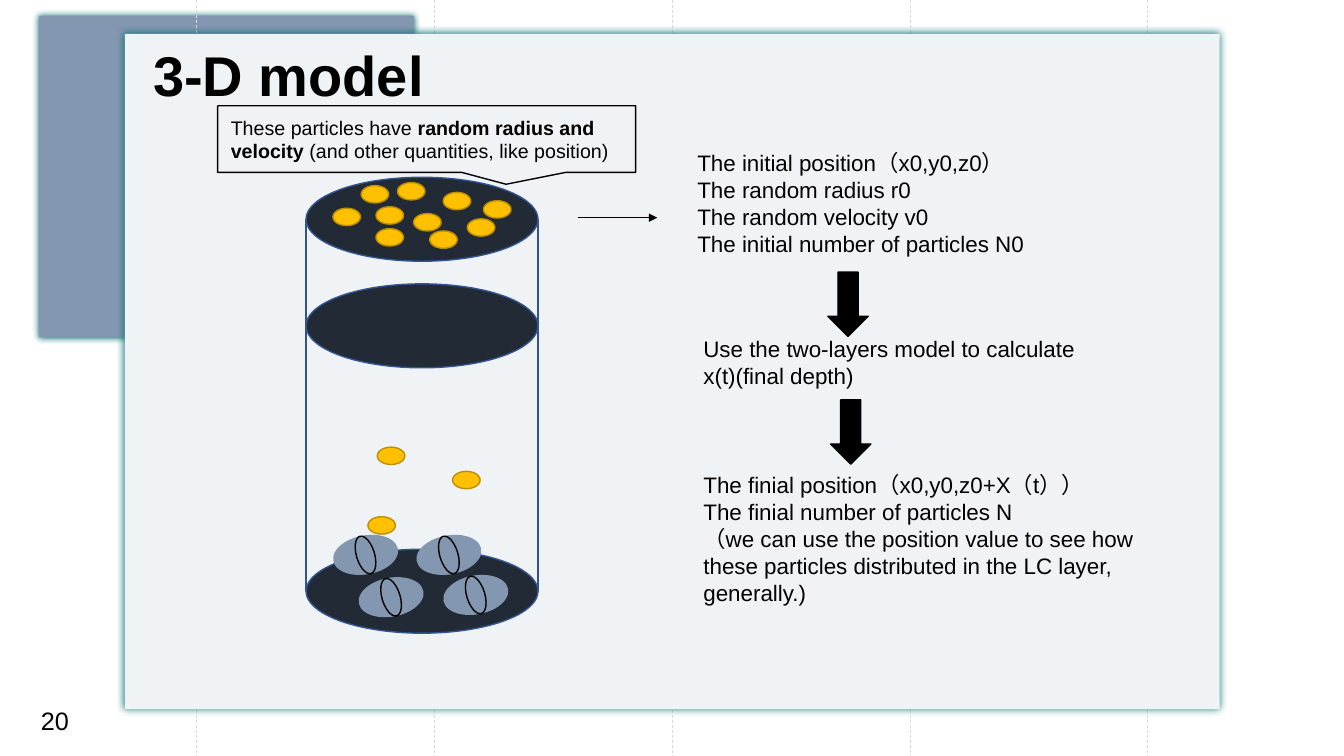
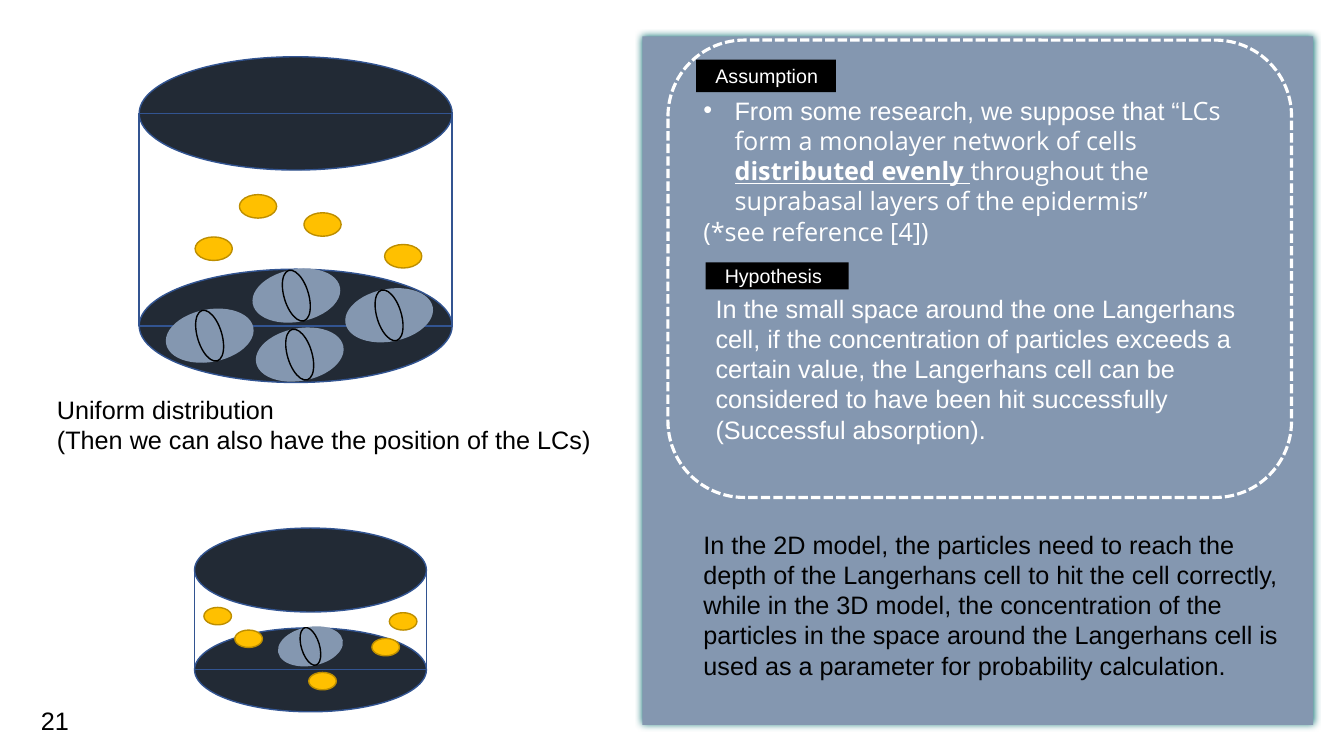
from dataclasses import dataclass

from lxml import etree
from pptx import Presentation
from pptx.dml.color import RGBColor
from pptx.enum.dml import MSO_LINE
from pptx.enum.shapes import MSO_CONNECTOR, MSO_SHAPE
from pptx.enum.text import MSO_ANCHOR, MSO_AUTO_SIZE, PP_ALIGN
from pptx.oxml.ns import qn
from pptx.util import Inches, Pt

RECTANGLE = MSO_SHAPE.RECTANGLE
ROUNDED = MSO_SHAPE.ROUNDED_RECTANGLE
OVAL = MSO_SHAPE.OVAL
CALLOUT = MSO_SHAPE.RECTANGULAR_CALLOUT
DOWN_ARROW = MSO_SHAPE.DOWN_ARROW
STRAIGHT = MSO_CONNECTOR.STRAIGHT
DASH = MSO_LINE.DASH
SHORT_DASH = MSO_LINE.SQUARE_DOT
LEFT = PP_ALIGN.LEFT
TOP = MSO_ANCHOR.TOP
MIDDLE = MSO_ANCHOR.MIDDLE
FIXED = MSO_AUTO_SIZE.NONE
TITLE_ONLY, BLANK = 5, 6

WIDTH, HEIGHT = Inches(13.33), Inches(7.5)
DISC_SIZE = (17.25, 11.1)
PARTICLE_SIZE = (2.05, 2.3)
CELL_SIZE = (2.9, 8.7)
RING_SIZE = (2.9, 2.4)
LARGE = 1.35


@dataclass(frozen=True)
class Theme:
    """Colours, fonts and type sizes of the deck."""

    black: str = "000000"
    white: str = "FFFFFF"
    slate: str = "8497B0"
    panel: str = "EFF3F6"
    glow: str = "127577"
    guide: str = "D9D9D9"
    disc: str = "222A35"
    outline: str = "325491"
    particle: str = "FFC000"
    particle_edge: str = "BD8E00"
    font: str = "Arial"
    quote_font: str = "Open Sans"
    title: int = 40
    body: int = 18
    step: int = 16
    label: int = 14


THEME = Theme()


def col(share):
    """Convert hundredths of the slide width to a length."""
    return round(WIDTH * share / 100)


def row(share):
    """Convert hundredths of the slide height to a length."""
    return round(HEIGHT * share / 100)


def place(left, top, width, height):
    """Convert a rectangle in slide shares to lengths."""
    return col(left), row(top), col(width), row(height)


def style_line(line, color, width=1, dash=None):
    """Set the colour, width in points and dash of a line."""
    line.color.rgb = RGBColor.from_string(color)
    line.width = Pt(width)
    if dash is not None:
        line.dash_style = dash


def draw(shapes, kind, area, fill=None, line=None, width=1, dash=None, rotation=0):
    """Add a flat preset shape over an area in slide shares."""
    shape = shapes.add_shape(kind, *place(*area))
    shape.shadow.inherit = False
    shape.rotation = rotation
    if fill:
        shape.fill.solid()
        shape.fill.fore_color.rgb = RGBColor.from_string(fill)
    else:
        shape.fill.background()
    if line:
        style_line(shape.line, line, width, dash)
    else:
        shape.line.fill.background()
    return shape


def glowing_panel(page, area, fill):
    """Add a rectangle with a soft coloured shadow all around."""
    panel = draw(page.shapes, RECTANGLE, area, fill)
    effects = panel.element.spPr.find(qn("a:effectLst"))
    shadow = etree.SubElement(effects, qn("a:outerShdw"), blurRad=str(Pt(5)),
                              dist="0", dir="0", algn="ctr", rotWithShape="0")
    etree.SubElement(shadow, qn("a:srgbClr"), val=THEME.glow)


def connect(page, start, end, color, dash=None, arrow=False):
    """Add a thin straight line between two points in slide shares."""
    line = page.shapes.add_connector(STRAIGHT, col(start[0]), row(start[1]),
                                     col(end[0]), row(end[1]))
    style_line(line.line, color, 0.5, dash)
    if arrow:
        etree.SubElement(line.line._get_or_add_ln(), qn("a:tailEnd"), type="triangle")
    etree.SubElement(line.element.spPr, qn("a:effectLst"))


def write(frame, paragraphs, size, color=THEME.black, bold=False, anchor=TOP,
          spacing=None, inset=0.1):
    """Fill a text frame; a paragraph is a string or a list of (text, format) spans."""
    frame.word_wrap = True
    frame.auto_size = FIXED
    frame.vertical_anchor = anchor
    frame.margin_left = Inches(inset)
    frame.margin_right = Inches(0.1)
    frame.margin_top = frame.margin_bottom = Inches(0.05)
    for index, spans in enumerate(paragraphs):
        para = frame.add_paragraph() if index else frame.paragraphs[0]
        para.alignment = LEFT
        para.line_spacing = spacing
        for text, style in [(spans, {})] if isinstance(spans, str) else spans:
            span = para.add_run()
            span.text = text
            span.font.size = Pt(size)
            span.font.color.rgb = RGBColor.from_string(color)
            span.font.name = style.get("name", THEME.font)
            span.font.bold = style.get("bold", bold)
            span.font.underline = style.get("underline", False)


def text_box(page, area, paragraphs, size=THEME.body, color=THEME.black):
    """Add a wrapping text box over an area in slide shares."""
    box = page.shapes.add_textbox(*place(*area))
    write(box.text_frame, paragraphs, size, color)
    return box


def add_bullet(para, indent=0.31):
    """Give a paragraph a round bullet with a hanging indent."""
    properties = para._p.get_or_add_pPr()
    properties.set("marL", str(Inches(indent)))
    properties.set("indent", str(-Inches(indent)))
    etree.SubElement(properties, qn("a:buFont"), typeface=THEME.font)
    etree.SubElement(properties, qn("a:buChar"), char="•")


def add_title(page, text, area):
    """Move the title placeholder in front of the panels and fill it."""
    title = page.shapes.title
    title.element.getparent().append(title.element)
    title.left, title.top, title.width, title.height = place(*area)
    write(title.text_frame, [text], THEME.title, bold=True, spacing=1.2)


def label(page, text, area):
    """Add a black tag with white text."""
    tag = draw(page.shapes, RECTANGLE, area, THEME.black)
    write(tag.text_frame, [text], THEME.label, THEME.white, anchor=MIDDLE, inset=0.19)


def page_number(page, number):
    """Write the page number in the lower left corner."""
    text_box(page, (2.3, 92.7, 7.4, 5.3), [str(number)])


def oval(shapes, center, size, scale=1, **style):
    """Add an ellipse around its centre."""
    width, height = (side * scale for side in size)
    area = center[0] - width / 2, center[1] - height / 2, width, height
    return draw(shapes, OVAL, area, **style)


def disc(page, center, scale=1):
    """Add one dark layer of a cylinder."""
    oval(page.shapes, center, DISC_SIZE, scale, fill=THEME.disc, line=THEME.outline)


def barrel(page, middle, top, bottom, scale=1):
    """Add the side walls of a cylinder between two disc centres."""
    width = DISC_SIZE[0] * scale
    draw(page.shapes, RECTANGLE, (middle - width / 2, top, width, bottom - top),
         line=THEME.outline)


def particles(page, centers, scale=1):
    """Add a yellow particle at each centre."""
    for center in centers:
        oval(page.shapes, center, PARTICLE_SIZE, scale,
             fill=THEME.particle, line=THEME.particle_edge)


def cells(page, centers, scale=1):
    """Add a tilted cell with a ring at each centre."""
    for center in centers:
        shapes = page.shapes.add_group_shape().shapes
        oval(shapes, center, CELL_SIZE, scale, fill=THEME.slate, rotation=79.4)
        oval(shapes, center, RING_SIZE, scale, line=THEME.black, rotation=253.2)


def build_model(deck):
    """Build the page that explains the model step by step."""
    page = deck.slides.add_slide(deck.slide_layouts[TITLE_ONLY])
    glowing_panel(page, (2.9, 2.1, 27.9, 42.5), THEME.slate)
    for index in range(5):
        across = 14.6 + 17.7 * index
        connect(page, (across, 0), (across, 100), THEME.guide, DASH)
    glowing_panel(page, (9.3, 4.5, 81.45, 89.3), THEME.panel)
    add_title(page, "3-D model", (10.65, 2.9, 36.9, 11.1))

    middle, top, layer, bottom = 31.4, 29, 43.1, 78.2
    barrel(page, middle, top, bottom)
    for height in (layer, top, bottom):
        disc(page, (middle, height))
    particles(page, [(29, 31.4), (33, 31.7), (29, 28.5), (25.8, 28.7), (30.6, 25.3),
                     (27.9, 25.7), (31.8, 29.4), (34, 26.6), (35.8, 30.1), (37, 27.7)])
    cells(page, [(27.2, 73.4), (33.4, 73.4), (29.1, 79), (35.4, 78.7)])
    particles(page, [(29.1, 60.3), (34.7, 63.5), (28.4, 69.5)])

    callout = draw(page.shapes, CALLOUT, (16.2, 14, 31.1, 8.8), line=THEME.black)
    callout.adjustments[0], callout.adjustments[1] = 0.19, 0.68
    write(callout.text_frame, [[
        ("These particles have ", {}),
        ("random radius and velocity ", {"bold": True}),
        ("(and other quantities, like position)", {}),
    ]], THEME.label, anchor=MIDDLE, inset=0.13)

    connect(page, (43, 28.8), (48.9, 28.8), THEME.black, arrow=True)
    text_box(page, (51.15, 19.1, 31.8, 15.7), [
        "The initial position（x0,y0,z0）",
        "The random radius r0",
        "The random velocity v0",
        "The initial number of particles N0",
    ], THEME.step)
    text_box(page, (51.6, 43.7, 31, 8.5),
             ["Use the two-layers model to calculate x(t)(final depth)"], THEME.step)
    text_box(page, (51.6, 61.7, 34.2, 19.3), [
        "The finial position（x0,y0,z0+X（t））",
        "The finial number of particles N",
        "（we can use the position value to see how these particles distributed "
        "in the LC layer, generally.)",
    ], THEME.step)
    for left, height in ((61.6, 36), (61.8, 52.9)):
        draw(page.shapes, DOWN_ARROW, (left, height, 3, 8.5), THEME.black, THEME.black)
    page_number(page, 20)


def build_assumptions(deck):
    """Build the page with the assumption, the hypothesis and two cylinders."""
    page = deck.slides.add_slide(deck.slide_layouts[BLANK])
    glowing_panel(page, (47.8, 4.8, 49.9, 91.1), THEME.slate)
    label(page, "Assumption", (51.8, 7.9, 10.4, 4.3))
    draw(page.shapes, ROUNDED, (49.7, 5.3, 46.4, 60.5),
         line=THEME.white, width=2.25, dash=SHORT_DASH)

    middle, top, bottom = 23.1, 75.4, 88.6
    disc(page, (middle, bottom))
    barrel(page, middle, top, bottom)
    cells(page, [(middle, 85.5)])
    disc(page, (middle, top))
    particles(page, [(18.5, 84.5), (28.7, 85.6), (24, 90.1), (16.2, 81.5), (30, 82.2)])

    middle, top, bottom = 22, 15, 43.1
    for height in (top, bottom):
        disc(page, (middle, height), LARGE)
    barrel(page, middle, top, bottom, LARGE)
    cells(page, [(22.05, 39.1), (15.6, 44.4), (28.95, 41.7), (22.3, 46.9)], LARGE)
    particles(page, [(15.9, 32.9), (24, 29.7), (19.2, 27.3), (30, 33.9)], LARGE)

    quote = {"name": THEME.quote_font}
    assumption = text_box(page, (51.6, 11.9, 43.4, 21.6), [
        [("From some research, we suppose that “", {}),
         ("LCs form a monolayer network of cells ", quote),
         ("distributed evenly", {**quote, "bold": True, "underline": True}),
         (" ", {**quote, "underline": True}),
         ("throughout the suprabasal layers of the epidermis”", quote)],
        [("(*see reference [4])", quote)],
    ], color=THEME.white)
    add_bullet(assumption.text_frame.paragraphs[0])
    label(page, "Hypothesis", (52.5, 34.7, 10.65, 3.6))
    text_box(page, (52.5, 38.1, 41.4, 21.6), [
        "In the small space around the one Langerhans cell, if the concentration of "
        "particles exceeds a certain value, the Langerhans cell can be considered to "
        "have been hit successfully (Successful absorption).",
    ], color=THEME.white)
    text_box(page, (3.5, 51.5, 50, 9.5), [
        "Uniform distribution",
        "(Then we can also have the position of the LCs)",
    ])
    text_box(page, (51.6, 69.3, 46, 21.6), [
        "In the 2D model, the particles need to reach the depth of the Langerhans cell "
        "to hit the cell correctly, while in the 3D model, the concentration of the "
        "particles in the space around the Langerhans cell is used as a parameter for "
        "probability calculation.",
    ])
    page_number(page, 21)


def main():
    """Build and save the deck."""
    deck = Presentation()
    deck.slide_width, deck.slide_height = WIDTH, HEIGHT
    build_model(deck)
    build_assumptions(deck)
    deck.save("out.pptx")


if __name__ == "__main__":
    main()
